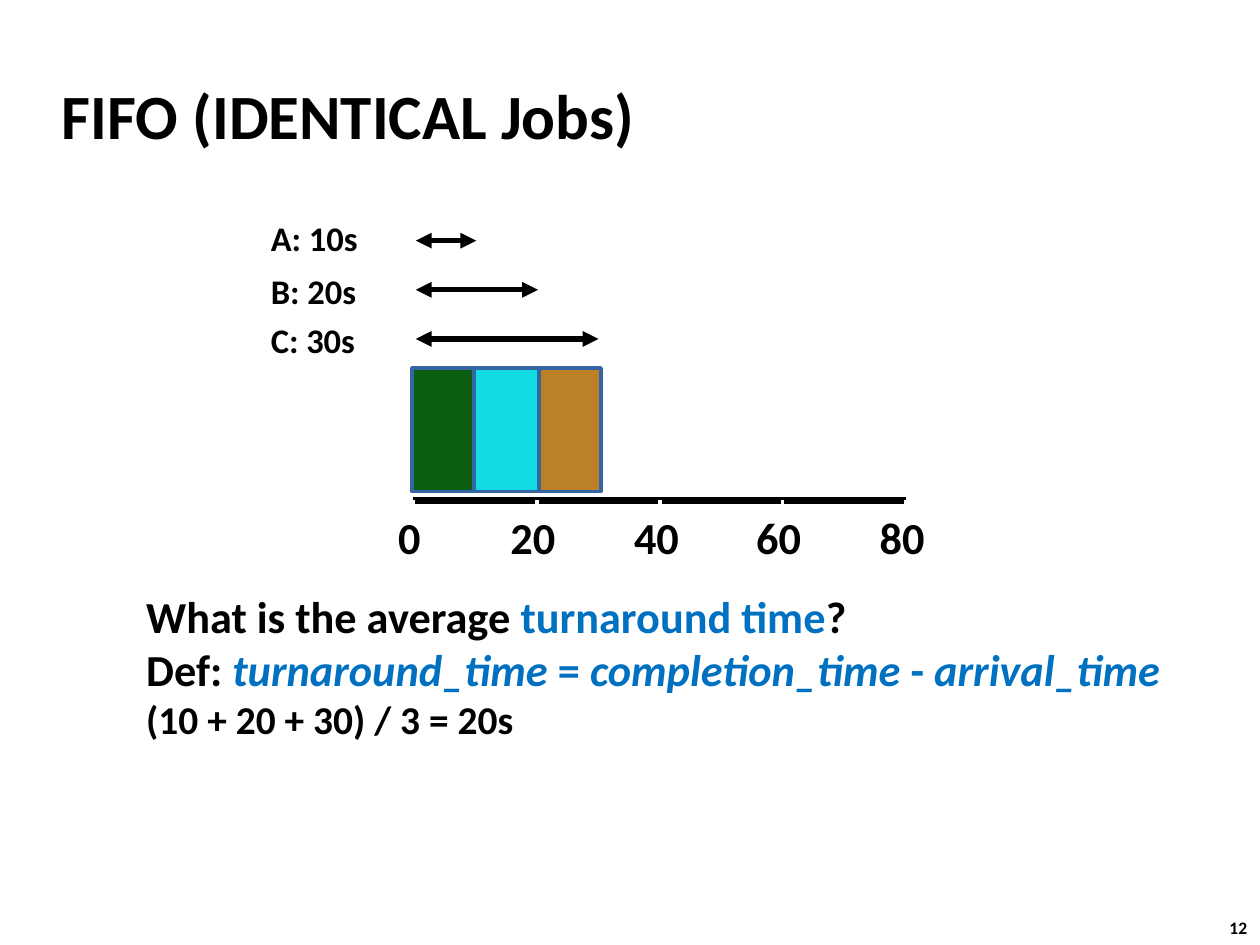
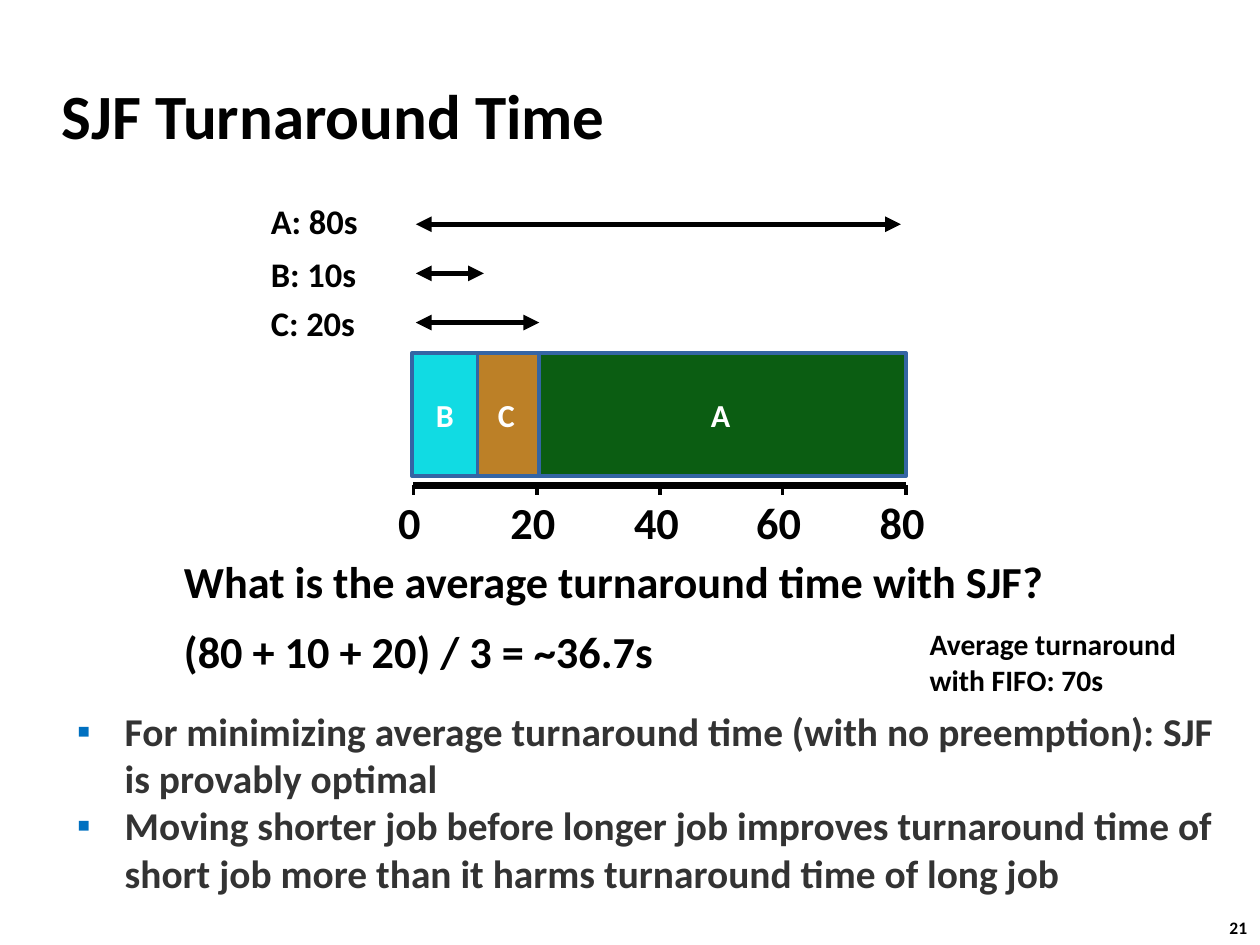
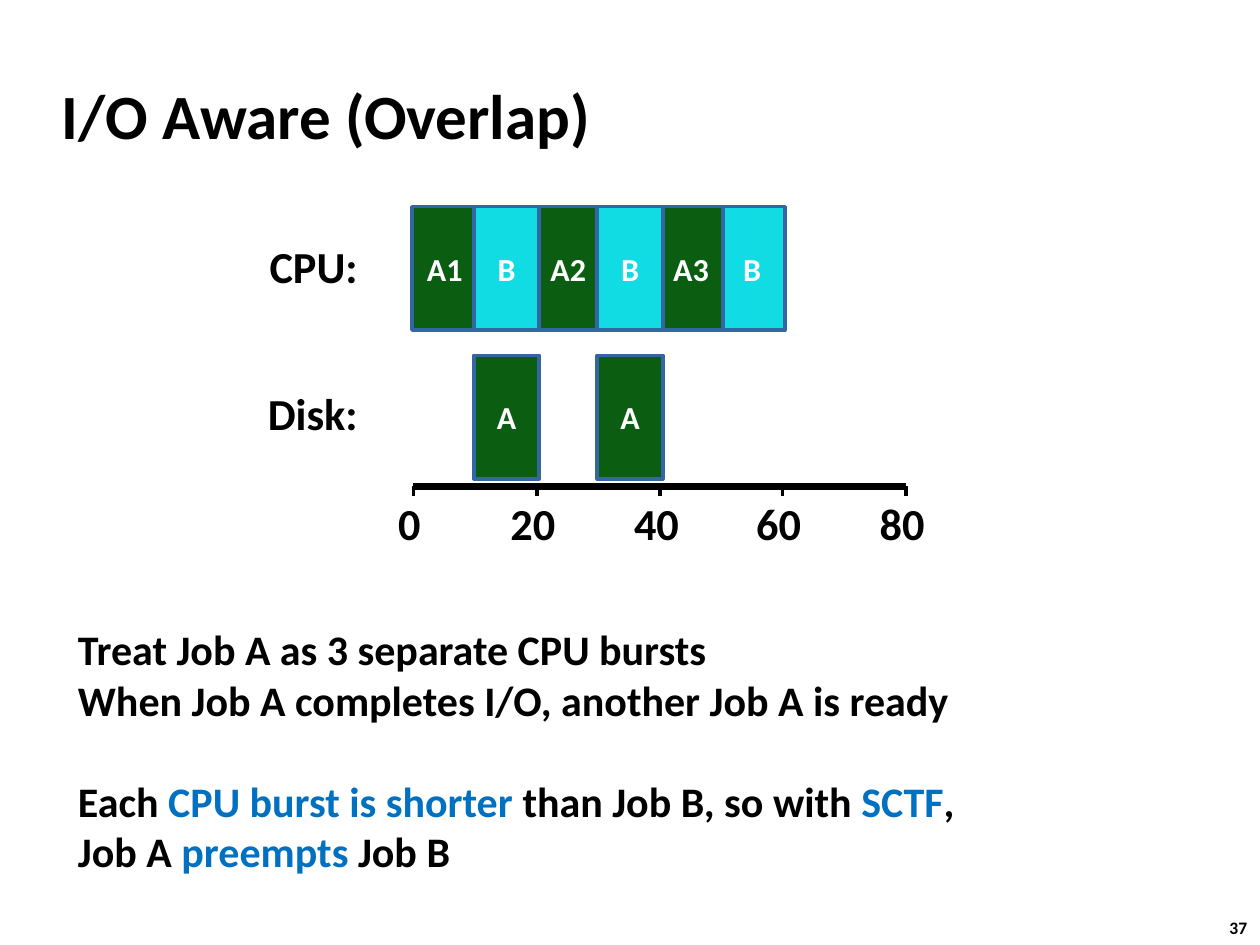
from lxml import etree
from pptx import Presentation
from pptx.dml.color import RGBColor
from pptx.enum.shapes import MSO_CONNECTOR, MSO_SHAPE
from pptx.enum.text import MSO_ANCHOR, MSO_AUTO_SIZE, PP_ALIGN
from pptx.oxml.ns import qn
from pptx.util import Pt

RECTANGLE = MSO_SHAPE.RECTANGLE
STRAIGHT = MSO_CONNECTOR.STRAIGHT
LEFT, CENTER, RIGHT = PP_ALIGN.LEFT, PP_ALIGN.CENTER, PP_ALIGN.RIGHT
TOP, MIDDLE = MSO_ANCHOR.TOP, MSO_ANCHOR.MIDDLE
NO_AUTOSIZE = MSO_AUTO_SIZE.NONE

EMU_PER_PX = 9144  # 100 px to the inch
FONT = "Calibri"
COLORS = {
    "black": "000000", "white": "FFFFFF", "grey": "333333",
    "accent": "0070C0", "border": "3465A4",
    "A": "0B5D12", "B": "11DBE3", "C": "BC8027",
}
TITLE_ONLY, TITLE_AND_BODY = 5, 1

AXIS_LEFT, AXIS_RIGHT = 328, 719
AXIS_SECONDS, TICK_STEP = 80, 20
BLOCK_HEIGHT = 98
ARROW_LEFT = 330
JOB_LABEL_OFFSETS = (0, 42, 81)


def px(length):
    return round(length * EMU_PER_PX)


def color(name):
    return RGBColor.from_string(COLORS[name])


def time_x(seconds):
    """Horizontal place of a moment on the time axis."""
    return AXIS_LEFT + round(seconds * (AXIS_RIGHT - AXIS_LEFT) / AXIS_SECONDS)


class Deck:
    def __init__(self):
        self.presentation = Presentation()
        self.presentation.slide_width = px(1000)
        self.presentation.slide_height = px(750)
        self.slide = None

    def new_slide(self, title, number, layout=TITLE_ONLY):
        layouts = self.presentation.slide_layouts
        self.slide = self.presentation.slides.add_slide(layouts[layout])
        shape = self.slide.shapes.title
        self.place(shape, 39, 49, 830, 83)
        self.fill_text(shape.text_frame, [title], 36, anchor=MIDDLE)
        self.indent(shape.text_frame.paragraphs[0], 13)
        self.text(966, 723, 37, 27, [str(number)], 10, wrap=False)

    def place(self, shape, left, top, width, height):
        shape.left, shape.top = px(left), px(top)
        shape.width, shape.height = px(width), px(height)

    def indent(self, paragraph, hanging):
        properties = paragraph._p.get_or_add_pPr()
        properties.set("marL", str(px(hanging)))
        properties.set("indent", str(px(-hanging)))
        return properties

    def fill_text(self, frame, paragraphs, size, ink="black", align=LEFT,
                  anchor=TOP, wrap=True, inset=None):
        """Write paragraphs, each a string or a list of (text, style) runs."""
        frame.word_wrap = wrap
        frame.auto_size = NO_AUTOSIZE
        frame.vertical_anchor = anchor
        if inset is not None:
            frame.margin_left = frame.margin_right = px(inset)
            frame.margin_top = frame.margin_bottom = px(inset)
        for index, content in enumerate(paragraphs):
            paragraph = frame.add_paragraph() if index else frame.paragraphs[0]
            paragraph.alignment = align
            paragraph.space_before = Pt(0)
            font = paragraph.font
            font.name, font.size, font.bold = FONT, Pt(size), True
            font.color.rgb = color(ink)
            runs = [(content, "")] if isinstance(content, str) else content
            for text, style in runs:
                self.add_run(paragraph, text, style)

    def add_run(self, paragraph, text, style):
        if text == "\n":
            paragraph.add_line_break()
            return
        run = paragraph.add_run()
        run.text = text
        if style:
            run.font.color.rgb = color("accent")
        if style == "term":
            run.font.italic = True

    def text(self, left, top, width, height, paragraphs, size, **style):
        box = self.slide.shapes.add_textbox(px(left), px(top), px(width), px(height))
        self.fill_text(box.text_frame, paragraphs, size, **style)
        return box.text_frame

    def label(self, left, top, width, height, paragraphs, size, align=LEFT):
        """Unwrapped, vertically centred text with narrow insets."""
        return self.text(left, top, width, height, paragraphs, size, align=align,
                         anchor=MIDDLE, wrap=False, inset=4)

    def bullets(self, left, top, width, height, items, size):
        body = self.slide.placeholders[1]
        self.place(body, left, top, width, height)
        self.fill_text(body.text_frame, items, size, ink="grey")
        for paragraph in body.text_frame.paragraphs:
            properties = self.indent(paragraph, 38)
            bullet_color = etree.Element(qn("a:buClr"))
            etree.SubElement(bullet_color, qn("a:srgbClr"), val=COLORS["accent"])
            bullet = etree.Element(qn("a:buChar"), char="▪")
            default_font = properties.find(qn("a:defRPr"))
            default_font.addprevious(bullet_color)
            default_font.addprevious(bullet)

    def line(self, start, end, width, ink="black", arrows=False):
        connector = self.slide.shapes.add_connector(
            STRAIGHT, *(px(value) for value in (*start, *end)))
        connector.line.color.rgb = color(ink)
        connector.line.width = Pt(width)
        if arrows:
            outline = connector.line._get_or_add_ln()
            for end_name in ("a:headEnd", "a:tailEnd"):
                etree.SubElement(outline, qn(end_name), type="triangle")
        etree.SubElement(connector._element.spPr, qn("a:effectLst"))

    def blocks(self, top, runs):
        """Draw (label, start, seconds, job) runs above the time axis."""
        for label, start, seconds, job in runs:
            left = time_x(start) - 1
            right = min(time_x(start + seconds) + 2, AXIS_RIGHT)
            shape = self.slide.shapes.add_shape(
                RECTANGLE, px(left), px(top), px(right - left), px(BLOCK_HEIGHT))
            shape.shadow.inherit = False
            shape.fill.solid()
            shape.fill.fore_color.rgb = color(job)
            shape.line.color.rgb = color("border")
            shape.line.width = Pt(2)
            if label:
                self.fill_text(shape.text_frame, [label], 18.3, ink="white",
                               align=CENTER, anchor=MIDDLE, inset=0)

    def time_axis(self, top, tick_ink="black"):
        self.line((AXIS_LEFT, top), (AXIS_RIGHT, top), 4)
        for seconds in range(0, AXIS_SECONDS + 1, TICK_STEP):
            x = time_x(seconds)
            self.line((x, top), (x, top + 8), 2, tick_ink)
            self.label(x - 25, top + 4, 44, 50, [str(seconds)], 25.3, CENTER)

    def job_lengths(self, top, jobs):
        """Name each job beside a double arrow that shows its length."""
        for row, (name, arrow_right) in enumerate(jobs):
            y = top + 23 + 39 * row
            self.line((ARROW_LEFT, y), (arrow_right, y), 3, arrows=True)
            self.label(211, top + JOB_LABEL_OFFSETS[row], 77, 41, [name], 19.7)


def fifo_slide(deck):
    deck.new_slide("FIFO (IDENTICAL Jobs)", 12)
    deck.blocks(292, [("", 0, 10, "A"), ("", 20, 10, "C"), ("", 10, 10, "B")])
    deck.time_axis(397, tick_ink="white")
    frame = deck.label(112, 463, 822, 131, [
        [("What is the average ", ""), ("turnaround time", "accent"), ("?", "")],
        [("Def: ", ""), ("turnaround_time", "term"), (" = ", "accent"),
         ("completion_time", "term"), (" - ", "accent"), ("arrival_time", "term")],
        "(10 + 20 + 30) / 3 = 20s",
    ], 25.3)
    frame.paragraphs[2].font.size = Pt(22.5)
    deck.job_lengths(168, [("A: 10s", 378), ("B: 20s", 427), ("C: 30s", 475)])


def sjf_slide(deck):
    deck.new_slide("SJF Turnaround Time", 21, TITLE_AND_BODY)
    deck.blocks(280, [("A", 20, 60, "A"), ("C", 10, 10, "C"), ("B", 0, 10, "B")])
    deck.time_axis(385)
    deck.job_lengths(155, [("A: 80s", 715), ("B: 10s", 384), ("C: 20s", 428)])
    frame = deck.label(142, 436, 705, 106, [
        "What is the average turnaround time with SJF?",
        "(80 + 10 + 20) / 3 = ~36.7s",
    ], 25.3)
    frame.paragraphs[1].space_before = Pt(9.4)
    deck.bullets(51, 556, 938, 162, [
        "For minimizing average turnaround time (with no preemption): "
        "SJF is provably optimal",
        "Moving shorter job before longer job improves turnaround time of "
        "short job more than it harms turnaround time of long job",
    ], 22.5)
    deck.text(728, 492, 261, 67, ["Average turnaround with FIFO: 70s"], 16.9)


def overlap_slide(deck):
    deck.new_slide("I/O Aware (Overlap)", 37)
    deck.time_axis(386)
    deck.label(208, 303, 80, 50, ["Disk:"], 25.3, RIGHT)
    deck.blocks(282, [("A", 10, 10, "A"), ("A", 30, 10, "A")])
    deck.label(208, 186, 80, 50, ["CPU:"], 25.3, RIGHT)
    deck.blocks(164, [
        ("A1", 0, 10, "A"), ("B", 50, 10, "B"), ("A2", 20, 10, "A"),
        ("A3", 40, 10, "A"), ("B", 30, 10, "B"), ("B", 10, 10, "B"),
    ])
    frame = deck.text(52, 490, 892, 212, [
        "Treat Job A as 3 separate CPU bursts",
        "When Job A completes I/O, another Job A is ready",
        [("Each ", ""), ("CPU burst is shorter ", "accent"),
         ("than Job B, so with ", ""), ("SCTF", "accent"), (",", ""), ("\n", ""),
         ("Job A ", ""), ("preempts", "accent"), (" Job B", "")],
    ], 24)
    frame.paragraphs[2].space_before = Pt(29)


def main():
    deck = Deck()
    fifo_slide(deck)
    sjf_slide(deck)
    overlap_slide(deck)
    deck.presentation.save("out.pptx")


if __name__ == "__main__":
    main()
